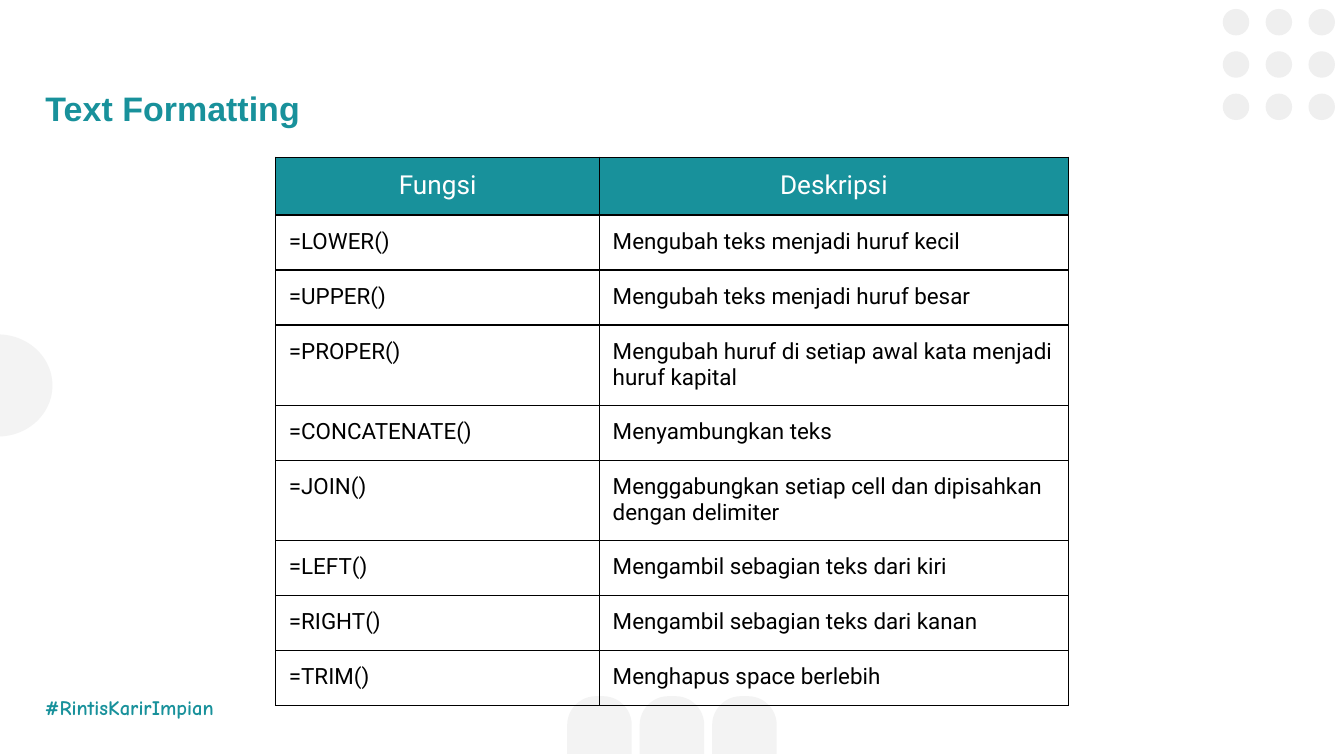
import pptx
import pptx.util
import pptx.dml.color
import pptx.enum.shapes
import pptx.enum.text
import pptx.oxml
import pptx.oxml.ns

Cm = pptx.util.Cm
Pt = pptx.util.Pt
Color = pptx.dml.color.RGBColor
Kind = pptx.enum.shapes.MSO_SHAPE
Align = pptx.enum.text.PP_ALIGN
Anchor = pptx.enum.text.MSO_ANCHOR

TEAL = Color(0x18, 0x91, 0x9B)
WHITE = Color(0xFF, 0xFF, 0xFF)
BLACK = Color(0x00, 0x00, 0x00)
PALE = Color(0xF3, 0xF3, 0xF3)
GREY = Color(0xEF, 0xEF, 0xEF)

ROWS = [
    ("Fungsi", "Deskripsi", 0.99),
    ("=LOWER()", "Mengubah teks menjadi huruf kecil", 1.04),
    ("=UPPER()", "Mengubah teks menjadi huruf besar", 1.04),
    ("=PROPER()", "Mengubah huruf di setiap awal kata menjadi huruf kapital", 1.35),
    ("=CONCATENATE()", "Menyambungkan teks", 1.04),
    ("=JOIN()", "Menggabungkan setiap cell dan dipisahkan dengan delimiter", 1.35),
    ("=LEFT()", "Mengambil sebagian teks dari kiri", 1.04),
    ("=RIGHT()", "Mengambil sebagian teks dari kanan", 1.04),
    ("=TRIM()", "Menghapus space berlebih", 1.04),
]


class Deck:
    """Draws the elements of the slide in one shared style."""

    def __init__(self):
        self.file = pptx.Presentation()
        self.file.slide_width = Cm(25.4)
        self.file.slide_height = Cm(14.29)
        self.slide = self.file.slides.add_slide(self.file.slide_layouts[6])
        self.inset = Cm(0.25)
        self.rule = Pt(0.75)

    def shape(self, kind, left, top, width, height, color, adjust=(), turn=0):
        item = self.slide.shapes.add_shape(kind, Cm(left), Cm(top), Cm(width), Cm(height))
        for index, value in enumerate(adjust):
            item.adjustments[index] = value
        item.rotation = turn
        item.shadow.inherit = False
        item.fill.solid()
        item.fill.fore_color.rgb = color
        item.line.fill.background()

    def text(self, frame, words, font, size, color, bold=False, align=Align.LEFT):
        line = frame.paragraphs[0]
        line.alignment = align
        run = line.add_run()
        run.text = words
        run.font.name = font
        run.font.size = Pt(size)
        run.font.bold = bold
        run.font.color.rgb = color

    def label(self, left, top, width, height, words, font, size, inset, anchor):
        box = self.slide.shapes.add_textbox(Cm(left), Cm(top), Cm(width), Cm(height))
        frame = box.text_frame
        frame.word_wrap = True
        frame.vertical_anchor = anchor
        frame.margin_left = frame.margin_right = inset
        frame.margin_top = frame.margin_bottom = inset
        self.text(frame, words, font, size, TEAL, bold=True)

    def border(self, cell):
        props = cell._tc.get_or_add_tcPr()
        for side in ("lnL", "lnR", "lnT", "lnB"):
            props.append(pptx.oxml.parse_xml(
                f'<a:{side} {pptx.oxml.ns.nsdecls("a")} w="{self.rule}"><a:solidFill>'
                f'<a:srgbClr val="{BLACK}"/></a:solidFill></a:{side}>'))

    def cell(self, cell, words, head):
        cell.margin_left = cell.margin_right = self.inset
        cell.margin_top = cell.margin_bottom = self.inset
        self.border(cell)
        if head:
            cell.fill.solid()
            cell.fill.fore_color.rgb = TEAL
            self.text(cell.text_frame, words, "Roboto", 14, WHITE, align=Align.CENTER)
        else:
            cell.fill.background()
            self.text(cell.text_frame, words, "Roboto", 12, BLACK)

    def table(self, left, top, widths, rows):
        height = sum(row[-1] for row in rows)
        grid = self.slide.shapes.add_table(
            len(rows), len(widths), Cm(left), Cm(top), Cm(sum(widths)), Cm(height)).table
        grid.horz_banding = False
        grid.first_row = False
        for col, width in zip(grid.columns, widths):
            col.width = Cm(width)
        for index, (*texts, tall) in enumerate(rows):
            grid.rows[index].height = Cm(tall)
            for col, words in enumerate(texts):
                self.cell(grid.cell(index, col), words, index == 0)


def main():
    deck = Deck()
    for col in range(3):
        deck.shape(Kind.ROUND_2_SAME_RECTANGLE, 10.72 + 1.37 * col, 13.16,
                   1.22, 1.09, PALE, (0.5, 0))
    for row in range(3):
        for col in range(3):
            deck.shape(Kind.OVAL, 23.11 + 0.81 * col, 0.17 + 0.8 * row, 0.5, 0.5, GREY)
    deck.shape(Kind.PIE, -1.07, 6.32, 2.06, 1.93, PALE, (54.42, 162), 180)
    deck.label(0.6, 12.9, 4, 1, "#RintisKarirImpian", "Comic Neue", 11,
               deck.inset, Anchor.TOP)
    deck.label(0.86, 1.25, 23.67, 1.6, "Text Formatting", "Arial", 18.2,
               0, Anchor.MIDDLE)
    deck.table(5.21, 2.97, (6.12, 8.86), ROWS)
    deck.file.save("out.pptx")


if __name__ == "__main__":
    main()
